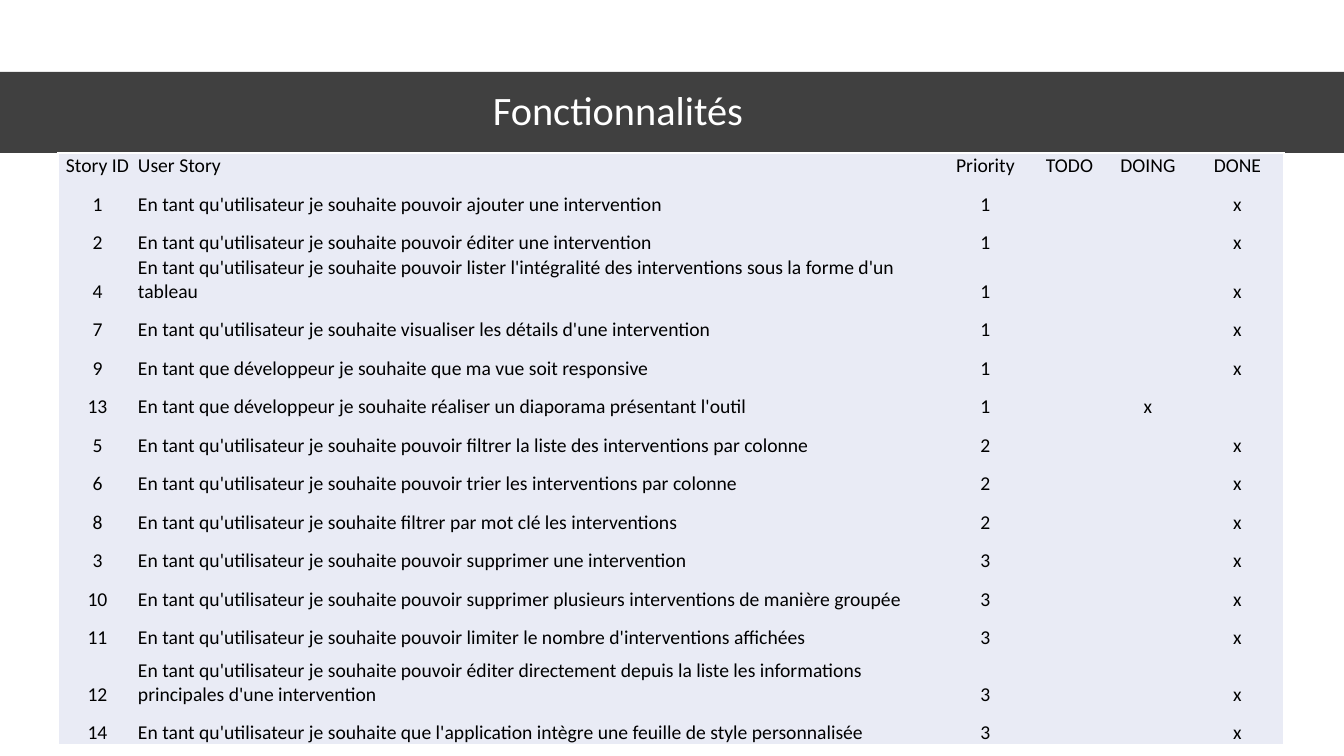
"""Builds the slide that lists the user stories and their progress."""
from lxml import etree
from pptx import Presentation
from pptx.dml import color
from pptx.enum import shapes, text
from pptx.oxml import ns
from pptx.util import Emu, Pt

PX = 12192000 / 1344
COLORS = {"band": "000000", "title": "FFFFFF", "cell": "E9EBF5", "ink": "000000", "border": "FFFFFF"}
FONT = "Calibri"
COLUMN_WIDTHS = [79, 800, 97, 71, 86, 93]
HEADER_HEIGHT = 24
TALL_ROWS = {3: 49, 13: 57}
HEADERS = ["Story ID", "User Story", "Priority", "TODO", "DOING", "DONE"]
USER = "En tant qu'utilisateur je souhaite "
DEVELOPER = "En tant que développeur je souhaite "
STORIES = [
    (1, USER + "pouvoir ajouter une intervention", 1, "DONE"),
    (2, USER + "pouvoir éditer une intervention", 1, "DONE"),
    (4, USER + "pouvoir lister l'intégralité des interventions sous la forme d'un tableau", 1, "DONE"),
    (7, USER + "visualiser les détails d'une intervention", 1, "DONE"),
    (9, DEVELOPER + "que ma vue soit responsive", 1, "DONE"),
    (13, DEVELOPER + "réaliser un diaporama présentant l'outil", 1, "DOING"),
    (5, USER + "pouvoir filtrer la liste des interventions par colonne", 2, "DONE"),
    (6, USER + "pouvoir trier les interventions par colonne", 2, "DONE"),
    (8, USER + "filtrer par mot clé les interventions", 2, "DONE"),
    (3, USER + "pouvoir supprimer une intervention", 3, "DONE"),
    (10, USER + "pouvoir supprimer plusieurs interventions de manière groupée", 3, "DONE"),
    (11, USER + "pouvoir limiter le nombre d'interventions affichées", 3, "DONE"),
    (12, USER + "pouvoir éditer directement depuis la liste les informations principales d'une intervention", 3, "DONE"),
    (14, USER + "que l'application intègre une feuille de style personnalisée", 3, "DONE"),
]


def px(*lengths):
    """Turn whole pixels into EMU lengths."""
    return [Emu(round(length * PX)) for length in lengths]


def apply(target, values):
    """Set each attribute of the target from a dict of values."""
    for name, value in values.items():
        setattr(target, name, value)


def rgb(name):
    """Look up a named colour."""
    return color.RGBColor.from_string(COLORS[name])


def write(paragraph, wording, size, ink, **layout):
    """Write one styled paragraph."""
    paragraph.text = wording
    apply(paragraph, layout)
    apply(paragraph.font, {"name": FONT, "size": Pt(size)})
    paragraph.font.color.rgb = rgb(ink)


def add_band(slide, box):
    """Add the translucent band behind the title."""
    shape = slide.shapes.add_shape(shapes.MSO_SHAPE.RECTANGLE, *px(*box))
    shape.shadow.inherit = False
    shape.fill.solid()
    shape.fill.fore_color.rgb = rgb("band")
    shape.line.fill.background()
    fill = shape.fill._xPr.find(ns.qn("a:solidFill"))
    etree.SubElement(fill[0], ns.qn("a:alpha"), val="75000")


def add_title(slide, box, wording):
    """Add the slide title."""
    frame = slide.shapes.add_textbox(*px(*box)).text_frame
    apply(frame, {"word_wrap": True, "vertical_anchor": text.MSO_ANCHOR.MIDDLE})
    write(frame.paragraphs[0], wording, 28.8, "title", line_spacing=0.9)


def set_borders(cell, visible):
    """Draw the visible sides of a cell and hide the others."""
    properties = cell._tc.get_or_add_tcPr()
    for index, side in enumerate("LRTB"):
        line = etree.Element(ns.qn(f"a:ln{side}"), w=str(Pt(1)))
        if side in visible:
            fill = etree.SubElement(line, ns.qn("a:solidFill"))
            etree.SubElement(fill, ns.qn("a:srgbClr"), val=COLORS["border"])
        else:
            etree.SubElement(line, ns.qn("a:noFill"))
        properties.insert(index, line)


def fill_cell(cell, wording, align, visible):
    """Style one cell and write its wording."""
    left, right, top, bottom = px(1, 1, 1, 0)
    apply(cell, {
        "margin_left": left, "margin_right": right, "margin_top": top,
        "margin_bottom": bottom, "vertical_anchor": text.MSO_ANCHOR.BOTTOM,
    })
    cell.fill.solid()
    cell.fill.fore_color.rgb = rgb("cell")
    write(cell.text_frame.paragraphs[0], wording, 14, "ink", alignment=align)
    set_borders(cell, visible)


def add_stories(slide, left, top):
    """Add the table of user stories."""
    rows = [HEADERS] + [
        [str(number), story, str(priority)] + ["x" if name == status else "" for name in HEADERS[3:]]
        for number, story, priority, status in STORIES
    ]
    heights = [HEADER_HEIGHT] + [TALL_ROWS.get(row, 38 + row % 2) for row in range(1, len(rows))]
    box = px(left, top, sum(COLUMN_WIDTHS), sum(heights))
    table = slide.shapes.add_table(len(rows), len(HEADERS), *box).table
    apply(table, {"first_row": False, "horz_banding": False})
    for column, width in zip(table.columns, px(*COLUMN_WIDTHS)):
        column.width = width
    for row, height in zip(table.rows, px(*heights)):
        row.height = height
    last_row, last_column = len(rows) - 1, len(HEADERS) - 1
    for r, row in enumerate(rows):
        for c, wording in enumerate(row):
            edges = {"L": c == 0, "R": c == last_column, "T": r == 0, "B": r == last_row}
            visible = [side for side, outer in edges.items() if outer]
            align = text.PP_ALIGN.LEFT if c == 1 else text.PP_ALIGN.CENTER
            fill_cell(table.cell(r, c), wording, align, visible)


def main():
    """Build and save the presentation."""
    presentation = Presentation()
    width, height = px(1344, 756)
    apply(presentation, {"slide_width": width, "slide_height": height})
    slide = presentation.slides.add_slide(presentation.slide_layouts[6])
    add_band(slide, (0, 72, 1344, 81))
    add_title(slide, (483, 89, 337, 47), "Fonctionnalités")
    add_stories(slide, 58, 153)
    presentation.save("out.pptx")


if __name__ == "__main__":
    main()
